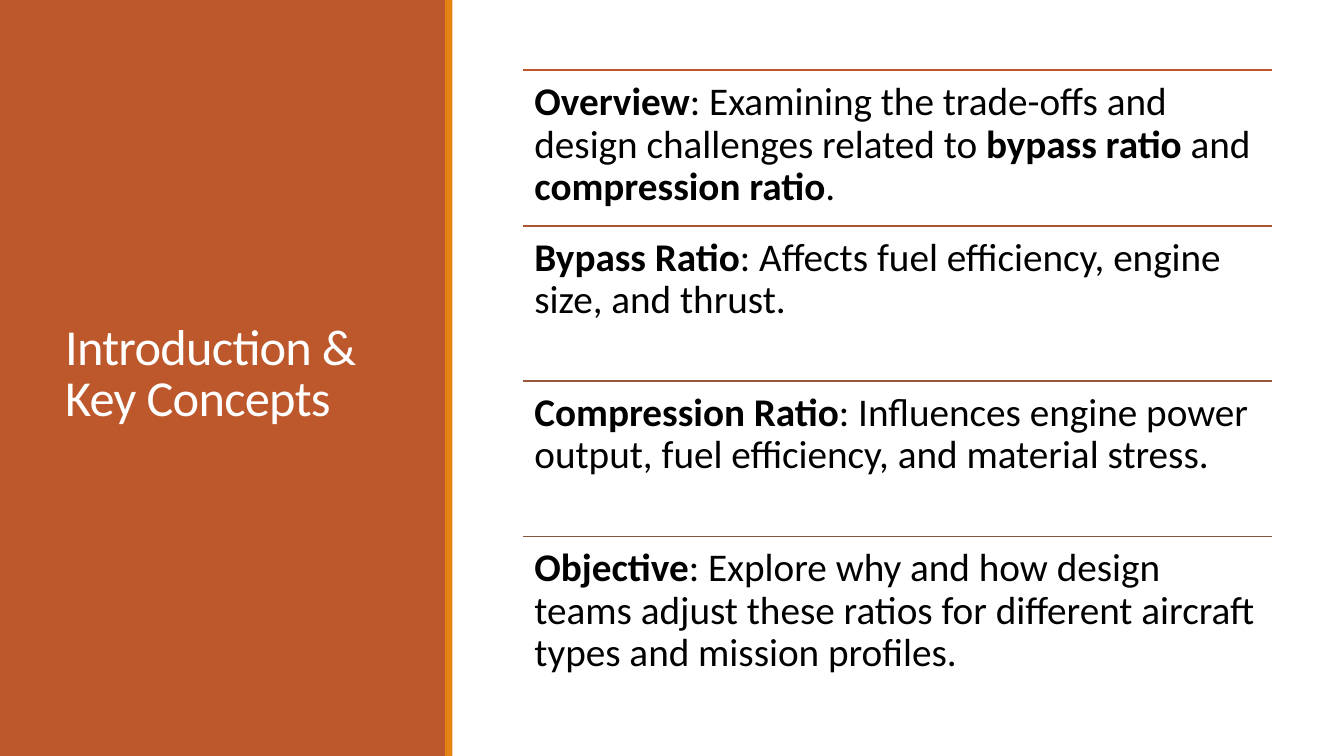
"""Build the introduction slide: a coloured title panel beside four ruled concepts."""
from dataclasses import dataclass

from lxml import etree
from pptx import Presentation
from pptx.dml.color import RGBColor
from pptx.enum.shapes import MSO_CONNECTOR, MSO_SHAPE
from pptx.enum.text import MSO_ANCHOR
from pptx.oxml.ns import qn
from pptx.slide import Slide
from pptx.util import Emu, Pt

RECTANGLE = MSO_SHAPE.RECTANGLE
STRAIGHT = MSO_CONNECTOR.STRAIGHT
TOP = MSO_ANCHOR.TOP
MIDDLE = MSO_ANCHOR.MIDDLE

EMU_PER_PX = 9525
SLIDE_WIDTH, SLIDE_HEIGHT = 1280, 720
FONT = "Calibri"
RUST, ORANGE = "BD582C", "E48312"
WHITE, BLACK = "FFFFFF", "000000"

CONCEPT_LEFT, CONCEPT_TOP = 498, 67
CONCEPT_WIDTH, CONCEPT_HEIGHT = 713, 148
CONCEPT_INSET = 11


@dataclass(frozen=True)
class Span:
    """A stretch of text with one weight."""

    text: str
    bold: bool = False


@dataclass(frozen=True)
class Panel:
    """A full-height band of colour."""

    left: int
    width: int
    color: str


@dataclass(frozen=True)
class Concept:
    """A ruled row with its line colour and text."""

    line_color: str
    spans: tuple[Span, ...]


PANELS = (Panel(0, 425, RUST), Panel(424, 7, ORANGE))

TITLE = (Span("Introduction & Key Concepts"),)

CONCEPTS = (
    Concept(RUST, (
        Span("Overview", True),
        Span(": Examining the trade-offs and design challenges related to "),
        Span("bypass ratio", True),
        Span(" and "),
        Span("compression ratio", True),
        Span("."),
    )),
    Concept("AA5834", (
        Span("Bypass Ratio", True),
        Span(": Affects fuel efficiency, engine size, and thrust."),
    )),
    Concept("97573A", (
        Span("Compression Ratio", True),
        Span(": Influences engine power output, fuel efficiency, and material stress."),
    )),
    Concept("865640", (
        Span("Objective", True),
        Span(": Explore why and how design teams adjust these ratios "
             "for different aircraft types and mission profiles."),
    )),
)


def px(length: int) -> Emu:
    """Turn pixels into EMU."""
    return Emu(length * EMU_PER_PX)


def rgb(color: str) -> RGBColor:
    """Turn a hex string into a colour."""
    return RGBColor.from_string(color)


def add_text(page: Slide, spans: tuple[Span, ...], left: int, top: int, width: int,
             height: int, *, size: int, color: str, line_spacing: float,
             anchor: MSO_ANCHOR = TOP, inset_x: int = 10, inset_y: int = 5,
             tracking: int = 0) -> None:
    """Add a wrapped text box holding one paragraph of spans."""
    box = page.shapes.add_textbox(px(left), px(top), px(width), px(height))
    frame = box.text_frame
    frame.word_wrap = True
    frame.vertical_anchor = anchor
    frame.margin_left = frame.margin_right = px(inset_x)
    frame.margin_top = frame.margin_bottom = px(inset_y)
    para = frame.paragraphs[0]
    para.line_spacing = line_spacing
    for span in spans:
        run = para.add_run()
        run.text = span.text
        run.font.name = FONT
        run.font.size = Pt(size)
        run.font.bold = span.bold
        run.font.color.rgb = rgb(color)
        if tracking:
            run.font._element.set("spc", str(tracking))


def add_panel(page: Slide, panel: Panel) -> None:
    """Add a borderless band over the full slide height."""
    shape = page.shapes.add_shape(
        RECTANGLE, px(panel.left), px(0), px(panel.width), px(SLIDE_HEIGHT))
    shape.shadow.inherit = False
    shape.fill.solid()
    shape.fill.fore_color.rgb = rgb(panel.color)
    shape.line.fill.background()


def add_concept(page: Slide, concept: Concept, top: int) -> None:
    """Add a rule with the concept text below it."""
    rule = page.shapes.add_connector(
        STRAIGHT, px(CONCEPT_LEFT), px(top), px(CONCEPT_LEFT + CONCEPT_WIDTH), px(top))
    rule.line.color.rgb = rgb(concept.line_color)
    rule.line.width = Pt(1.25)
    etree.SubElement(rule._element.spPr, qn("a:effectLst"))
    add_text(page, concept.spans, CONCEPT_LEFT, top, CONCEPT_WIDTH, CONCEPT_HEIGHT,
             size=28, color=BLACK, line_spacing=0.9,
             inset_x=CONCEPT_INSET, inset_y=CONCEPT_INSET)


def main() -> None:
    """Build and save the deck."""
    deck = Presentation()
    deck.slide_width, deck.slide_height = px(SLIDE_WIDTH), px(SLIDE_HEIGHT)
    page = deck.slides.add_slide(deck.slide_layouts[6])
    for panel in PANELS:
        add_panel(page, panel)
    add_text(page, TITLE, 52, 55, 324, 606, size=36, color=WHITE,
             line_spacing=0.85, anchor=MIDDLE, tracking=-50)
    for index, concept in enumerate(CONCEPTS):
        add_concept(page, concept, CONCEPT_TOP + index * CONCEPT_HEIGHT)
    deck.save("out.pptx")


if __name__ == "__main__":
    main()
